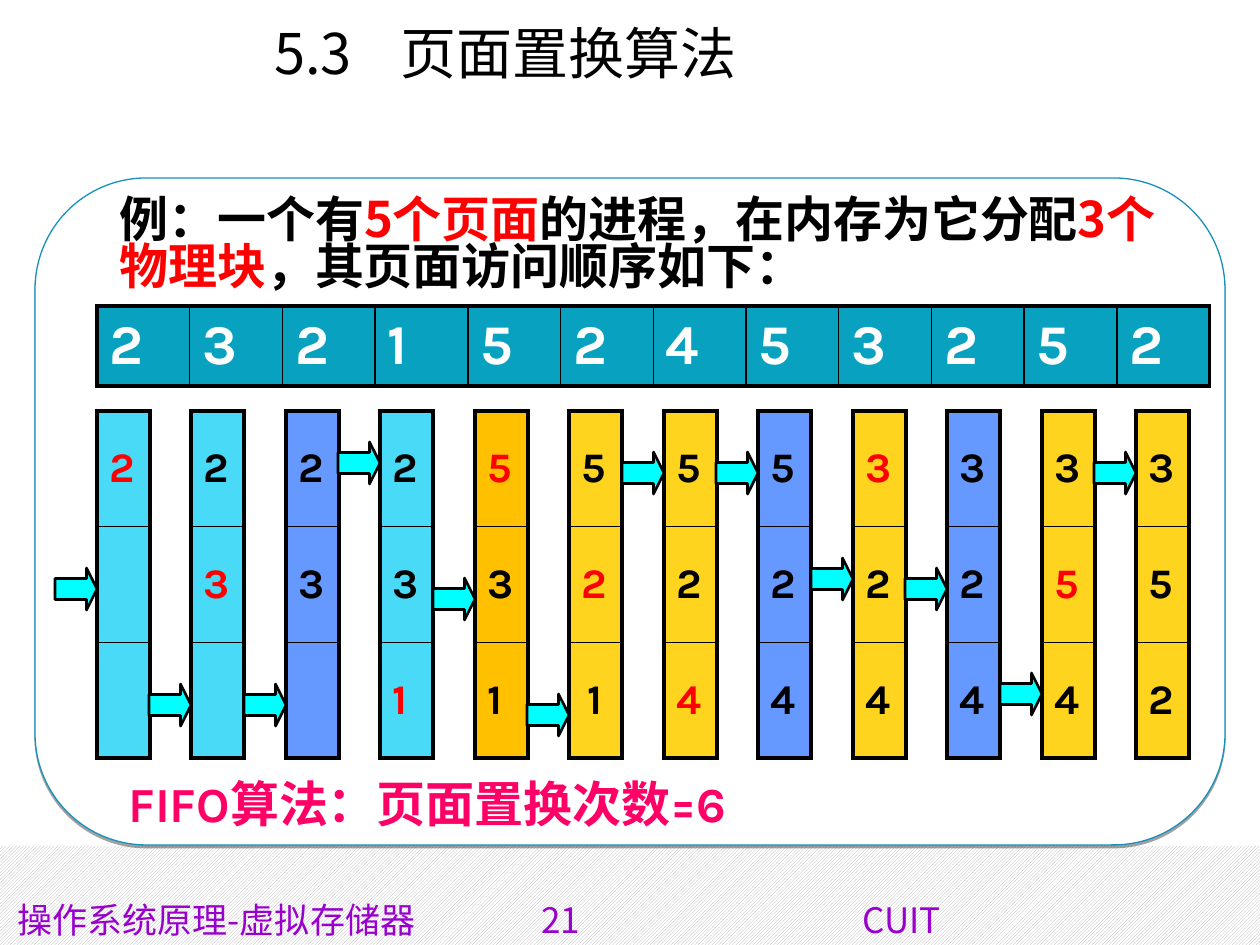
from lxml import etree
from pptx import Presentation
from pptx.dml.color import RGBColor
from pptx.enum.dml import MSO_PATTERN
from pptx.enum.shapes import MSO_SHAPE
from pptx.enum.text import MSO_ANCHOR, PP_ALIGN
from pptx.oxml.ns import qn
from pptx.util import Pt

PX = 914400 / 126
RECTANGLE = MSO_SHAPE.RECTANGLE
ROUNDED = MSO_SHAPE.ROUNDED_RECTANGLE
ARROW = MSO_SHAPE.RIGHT_ARROW
HATCH = MSO_PATTERN.DARK_UPWARD_DIAGONAL
TOP, MIDDLE, BOTTOM = MSO_ANCHOR.TOP, MSO_ANCHOR.MIDDLE, MSO_ANCHOR.BOTTOM
LEFT, CENTER = PP_ALIGN.LEFT, PP_ALIGN.CENTER
LATIN, CHINESE = "Karla", "Noto Sans CJK SC"

COLORS = {
    "white": "FFFFFF", "black": "000000", "red": "FF0000", "pink": "FF0066",
    "purple": "9900CC", "hatch": "B2B2B2", "frame": "1790BB", "arrow": "00FFFF",
    "header": "08A1C0", "loading": "49DAF7", "hit": "6699FF",
    "first_swap": "FFC000", "swap": "FFD41F",
}

REQUESTS = "232152453252"
FRAME_LEFT, FRAME_TOP, FRAME_WIDTH, FRAME_HEIGHT = 97, 411, 53, 347
ARROW_SIZE = 42
FRAMES = [
    ("2", 0, "loading", 568),
    ("23", 1, "loading", 684),
    ("23", None, "hit", 684),
    ("231", 2, "loading", 442),
    ("531", 0, "first_swap", 578),
    ("521", 1, "swap", 694),
    ("524", 2, "swap", 452),
    ("524", None, "hit", 452),
    ("324", 0, "swap", 558),
    ("324", None, "hit", 568),
    ("354", 1, "swap", 673),
    ("352", None, "swap", 452),
]


def px(value):
    return round(value * PX)


def place(*lengths):
    return [px(length) for length in lengths]


def color(name):
    return RGBColor.from_string(COLORS[name])


def add_span(para, text, size, tone, font, bold=False):
    span = para.add_run()
    span.text = text
    span.font.size = Pt(size)
    span.font.bold = bold
    span.font.name = font
    span.font.color.rgb = color(tone)
    east = etree.SubElement(span.font._element, qn("a:ea"))
    east.set("typeface", CHINESE)


def add_text(page, area, spans, size, font=CHINESE, bold=False, anchor=TOP,
             align=LEFT, spacing=1.0, tabs=()):
    frame = page.shapes.add_textbox(*place(*area)).text_frame
    frame.word_wrap = True
    frame.vertical_anchor = anchor
    para = frame.paragraphs[0]
    para.alignment = align
    para.line_spacing = spacing
    if tabs:
        stops = etree.SubElement(para._p.get_or_add_pPr(), qn("a:tabLst"))
        for tab in tabs:
            etree.SubElement(stops, qn("a:tab"), pos=str(px(tab)), algn="l")
    for text, tone in spans:
        add_span(para, text, size, tone, font, bold)


def add_box(page, kind, area, fill, line=None, width=1):
    box = page.shapes.add_shape(kind, *place(*area))
    box.shadow.inherit = False
    box.fill.solid()
    box.fill.fore_color.rgb = color(fill)
    if line:
        box.line.color.rgb = color(line)
        box.line.width = Pt(width)
    else:
        box.line.fill.background()
    return box


def add_background(page):
    band = add_box(page, RECTANGLE, (0, 846, 1260, 99), "white")
    band.fill.patterned()
    band.fill.pattern = HATCH
    band.fill.fore_color.rgb = color("hatch")
    band.fill.back_color.rgb = color("white")

    panel = add_box(page, ROUNDED, (35, 178, 1190, 667), "white", "frame", 0.75)
    panel.adjustments[0] = 0.167
    effects = panel._element.spPr.find(qn("a:effectLst"))
    shadow = etree.SubElement(effects, qn("a:outerShdw"), blurRad="0",
                              dist=str(Pt(1.6)), dir="5400000", rotWithShape="0")
    tone = etree.SubElement(shadow, qn("a:srgbClr"), val=COLORS["black"])
    etree.SubElement(tone, qn("a:alpha"), val="37000")


def set_borders(cell, outer_sides):
    properties = cell._tc.get_or_add_tcPr()
    for side, outer in zip("LRTB", outer_sides):
        width = Pt(2.25 if outer else 1)
        line = etree.SubElement(properties, qn(f"a:ln{side}"), w=str(width))
        fill = etree.SubElement(line, qn("a:solidFill"))
        etree.SubElement(fill, qn("a:srgbClr"), val=COLORS["black"])


def add_grid(page, area, rows, columns, fill):
    grid = page.shapes.add_table(rows, columns, *place(*area)).table
    grid.first_row = False
    grid.horz_banding = False
    for row in range(rows):
        for column in range(columns):
            cell = grid.cell(row, column)
            set_borders(cell, (column == 0, column == columns - 1,
                               row == 0, row == rows - 1))
            cell.fill.solid()
            cell.fill.fore_color.rgb = color(fill)
            cell.vertical_anchor = MIDDLE
    return grid


def add_requests(page):
    grid = add_grid(page, (97, 306, 1113, 80), 1, len(REQUESTS), "header")
    for column, number in enumerate(REQUESTS):
        para = grid.cell(0, column).text_frame.paragraphs[0]
        add_span(para, number, 32, "white", LATIN, True)


def add_frame(page, index, numbers, fresh, fill, arrow_top):
    left = FRAME_LEFT + index * 189 // 2
    grid = add_grid(page, (left, FRAME_TOP, FRAME_WIDTH, FRAME_HEIGHT), 3, 1, fill)
    for row, number in enumerate(numbers):
        para = grid.cell(row, 0).text_frame.paragraphs[0]
        if index == 5 and row == 2:
            para.alignment = CENTER
        add_span(para, number, 24, "red" if row == fresh else "black", LATIN, True)
    arrow = add_box(page, ARROW, (left - ARROW_SIZE, arrow_top, ARROW_SIZE, ARROW_SIZE),
                    "arrow", "black", 1.5)
    arrow.adjustments[0] = 0.5
    arrow.adjustments[1] = 0.25


def main():
    deck = Presentation()
    deck.slide_width, deck.slide_height = place(1260, 945)
    page = deck.slides.add_slide(deck.slide_layouts[6])
    add_background(page)
    add_text(page, (5, 895, 1260, 50), [("操作系统原理-虚拟存储器\t21\tCUIT", "purple")],
             20, anchor=MIDDLE, tabs=(524, 845))
    add_requests(page)
    add_text(page, (107, 185, 1074, 115), [
        ("例：一个有", "black"),
        ("5个页面", "red"),
        ("的进程，在内存为它分配", "black"),
        ("3个物理块", "red"),
        ("，其页面访问顺序如下：", "black"),
    ], 28, bold=True, anchor=BOTTOM, spacing=0.8)
    add_text(page, (116, 774, 872, 72), [("FIFO算法：页面置换次数=6", "pink")],
             28, font=LATIN, bold=True, spacing=0.9)
    for index, frame in enumerate(FRAMES):
        add_frame(page, index, *frame)
    add_text(page, (63, 20, 885, 156), [("5.3\t页面置换算法", "black")],
             32, align=CENTER, spacing=0.9)
    deck.save("out.pptx")


if __name__ == "__main__":
    main()
